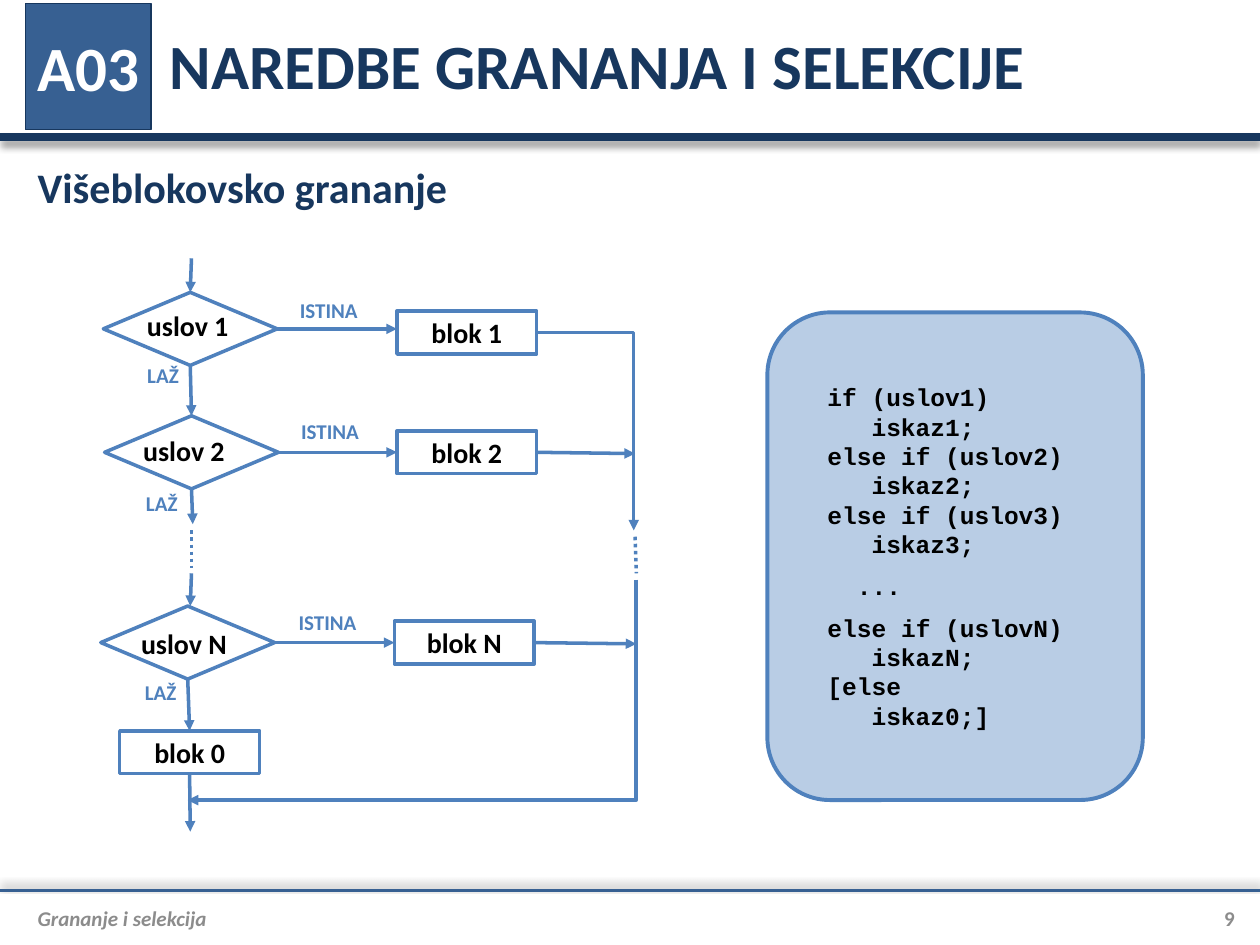
from collections import namedtuple

from lxml import etree
from pptx import Presentation
from pptx.dml.color import RGBColor
from pptx.enum.dml import MSO_LINE
from pptx.enum.shapes import MSO_CONNECTOR, MSO_SHAPE
from pptx.enum.text import MSO_ANCHOR, PP_ALIGN
from pptx.oxml.ns import qn
from pptx.util import Pt

PX = 9144
NAVY = RGBColor(0x17, 0x37, 0x5E)
STEEL = RGBColor(0x37, 0x60, 0x92)
BLUE = RGBColor(0x4F, 0x81, 0xBD)
PALE = RGBColor(0xB9, 0xCD, 0xE5)
GREY = RGBColor(0x8C, 0x8C, 0x8C)
WHITE = RGBColor(0xFF, 0xFF, 0xFF)
BLACK = RGBColor(0x00, 0x00, 0x00)

LEFT, CENTER, RIGHT = PP_ALIGN.LEFT, PP_ALIGN.CENTER, PP_ALIGN.RIGHT
TOP, MIDDLE = MSO_ANCHOR.TOP, MSO_ANCHOR.MIDDLE
STRAIGHT = MSO_CONNECTOR.STRAIGHT
DOTTED = MSO_LINE.ROUND_DOT
RECTANGLE, DIAMOND = MSO_SHAPE.RECTANGLE, MSO_SHAPE.DIAMOND
PANEL = MSO_SHAPE.FLOWCHART_ALTERNATE_PROCESS
SIDE_TOP, SIDE_BOTTOM, SIDE_RIGHT = 0, 2, 3

Box = namedtuple("Box", "left top width height")
Row = namedtuple("Row", "name diamond block yes no label")

ROWS = [
    Row("1", (22, 32), (255, 47), (163, 36), (6, 88), (38, 45)),
    Row("2", (23, 130), (255, 142), (164, 132), (5, 189), (35, 144)),
    Row("N", (20, 281), (253, 293), (162, 284), (4, 339), (35, 297)),
]
CODE = [
    (2, "if (uslov1)"), (5, "iskaz1;"),
    (2, "else if (uslov2)"), (5, "iskaz2;"),
    (2, "else if (uslov3)"), (5, "iskaz3;"),
    (4, "..."),
    (2, "else if (uslovN)"), (5, "iskazN;"),
    (2, "[else"), (5, "iskaz0;]"),
]


def place(box, left, top, width, height):
    """Return a part of the box in EMU."""
    return [value * PX for value in (box.left + left, box.top + top, width, height)]


def set_font(paragraph, size, color, name="Calibri"):
    """Set the bold font that all runs of a paragraph share."""
    font = paragraph.font
    font.name, font.size, font.bold = name, Pt(size), True
    font.color.rgb = color


def write(shape, text, size, color, align=LEFT, anchor=MIDDLE, margins=(0, 0)):
    """Write one paragraph into a shape with (side, vertical) margins."""
    frame = shape.text_frame
    frame.word_wrap = True
    frame.vertical_anchor = anchor
    frame.margin_left = frame.margin_right = margins[0] * PX
    frame.margin_top = frame.margin_bottom = margins[1] * PX
    paragraph = frame.paragraphs[0]
    paragraph.text = text
    paragraph.alignment = align
    set_font(paragraph, size, color)
    return paragraph


def add_text(slide, box, area, text, size, color, **layout):
    """Add a text box at an area of the box."""
    return write(slide.shapes.add_textbox(*place(box, *area)), text, size, color, **layout)


def add_figure(slide, box, kind, area, fill, line, weight):
    """Add a flat preset shape at an area of the box."""
    shape = slide.shapes.add_shape(kind, *place(box, *area))
    shape.shadow.inherit = False
    shape.fill.solid()
    shape.fill.fore_color.rgb = fill
    shape.line.color.rgb = line
    shape.line.width = Pt(weight)
    return shape


def add_arrowhead(shape):
    """Put a triangle at the end of a line."""
    etree.SubElement(shape.line._get_or_add_ln(), qn("a:tailEnd"), type="triangle")


def add_line(slide, box, start, end, color=BLUE, weight=2, arrow=False):
    """Add a straight line between two points of the box."""
    points = place(box, *start, 0, 0)[:2] + place(box, *end, 0, 0)[:2]
    line = slide.shapes.add_connector(STRAIGHT, *points)
    line.line.color.rgb = color
    line.line.width = Pt(weight)
    if arrow:
        add_arrowhead(line)
    etree.SubElement(line._element.spPr, qn("a:effectLst"))
    return line


def add_path(slide, box, points):
    """Add an open bent arrow through points of the box."""
    corners = [(box.left + x, box.top + y) for x, y in points]
    builder = slide.shapes.build_freeform(*corners[0], scale=PX)
    builder.add_line_segments(corners[1:], close=False)
    shape = builder.convert_to_shape()
    shape.shadow.inherit = False
    shape.fill.background()
    shape.line.color.rgb = BLUE
    shape.line.width = Pt(2)
    add_arrowhead(shape)


def add_rule(slide, box, top, color, weight, degrees):
    """Add a full-width rule with a soft shadow."""
    line = add_line(slide, box, (0, top), (box.width, top), color, weight)
    effects = line._element.spPr.find(qn("a:effectLst"))
    shadow = etree.SubElement(
        effects, qn("a:outerShdw"), blurRad=str(Pt(4)), dist=str(Pt(3)),
        dir=str(degrees * 60000), rotWithShape="0")
    shade = etree.SubElement(shadow, qn("a:srgbClr"), val="000000")
    etree.SubElement(shade, qn("a:alpha"), val="40000")


def add_header(slide, box):
    """Place the rule, chapter badge, title and subtitle."""
    add_rule(slide, box, 109, NAVY, 4.5, 90)
    badge = add_figure(slide, box, RECTANGLE, (20, 3, 100, 100), STEEL, NAVY, 0.75)
    write(badge, "A03", 36, WHITE, align=CENTER)
    add_text(slide, box, (125, 1, 855, 100), "NAREDBE GRANANJA I SELEKCIJE",
             36, NAVY, margins=(10, 5))
    add_text(slide, box, (20, 123, 960, 50), "Višeblokovsko grananje",
             24, NAVY, anchor=TOP, margins=(10, 5))


def add_footer(slide, box):
    """Place the rule, topic and slide number."""
    add_rule(slide, box, 7, STEEL, 1.5, 270)
    topic = add_text(slide, box, (20, 11, 910, 35), "Grananje i selekcija",
                     12, GREY, margins=(10, 0))
    topic.font.italic = True
    add_text(slide, box, (930, 11, 50, 35), "9", 12, GREY, align=RIGHT)


def add_block(slide, box, name, corner):
    """Place a statement block."""
    block = add_figure(slide, box, RECTANGLE, (*corner, 111, 34), WHITE, BLUE, 2)
    write(block, f"blok {name}", 16, BLACK, align=CENTER)
    return block


def add_row(slide, box, row):
    """Place a condition with its block, labels and the arrow between them."""
    diamond = add_figure(slide, box, DIAMOND, (*row.diamond, 138, 58), WHITE, BLUE, 2)
    block = add_block(slide, box, row.name, row.block)
    middle = row.diamond[1] + 29
    arrow = add_line(slide, box, (row.diamond[0] + 138, middle),
                     (row.block[0], middle), arrow=True)
    arrow.begin_connect(diamond, SIDE_RIGHT)
    add_text(slide, box, (*row.yes, 76, 24), "ISTINA", 12, BLUE, align=CENTER, anchor=TOP)
    add_text(slide, box, (*row.no, 76, 24), "LAŽ", 12, BLUE, align=RIGHT, anchor=TOP)
    add_text(slide, box, (*row.label, 102, 26), f"uslov {row.name}",
             16, BLACK, align=CENTER, anchor=TOP)
    return diamond, block


def add_flowchart(slide, box):
    """Place the chain of conditions and the common exit path."""
    (first, _), (second, block_2), (last, block_n) = [
        add_row(slide, box, row) for row in ROWS]
    block_0 = add_block(slide, box, "0", (35, 380))

    add_line(slide, box, (92, 5), (91, 32), arrow=True).end_connect(first, SIDE_TOP)
    for upper, lower, start, end in [
            (first, second, (91, 90), (92, 130)), (last, block_0, (89, 339), (90, 380))]:
        link = add_line(slide, box, start, end, arrow=True)
        link.begin_connect(upper, SIDE_BOTTOM)
        link.end_connect(lower, SIDE_TOP)
    for source, side, start, end in [
            (second, SIDE_BOTTOM, (92, 188), (93, 216)),
            (block_0, SIDE_BOTTOM, (91, 414), (91, 460)),
            (block_2, SIDE_RIGHT, (366, 159), (444, 160)),
            (block_n, SIDE_RIGHT, (364, 310), (445, 311))]:
        add_line(slide, box, start, end, arrow=True).begin_connect(source, side)
    add_line(slide, box, (92, 255), (91, 281), arrow=True)
    for start, end in [((92, 221), (92, 251)), ((444, 226), (445, 255))]:
        add_line(slide, box, start, end).line.dash_style = DOTTED
    add_path(slide, box, [(367, 64), (443, 64), (443, 221)])
    add_path(slide, box, [(445, 260), (445, 435), (89, 435)])


def add_code(slide, box):
    """Place the syntax panel with lines indented by whole characters."""
    panel = add_figure(slide, box, PANEL, (0, 0, box.width, box.height), PALE, BLUE, 2.25)
    frame = panel.text_frame
    frame.word_wrap = True
    frame.vertical_anchor = MIDDLE
    for index, (indent, text) in enumerate(CODE):
        paragraph = frame.add_paragraph() if index else frame.paragraphs[0]
        paragraph.text = text
        paragraph.alignment = LEFT
        set_font(paragraph, 14, BLACK, "Courier New")
        paragraph._p.get_or_add_pPr().set("marL", str(Pt(8.4 * indent)))
        if text == "...":
            paragraph.space_before = paragraph.space_after = Pt(7)


def main():
    """Build and save the slide."""
    presentation = Presentation()
    presentation.slide_width, presentation.slide_height = 1000 * PX, 750 * PX
    slide = presentation.slides.add_slide(presentation.slide_layouts[6])
    add_header(slide, Box(0, 0, 1000, 173))
    add_footer(slide, Box(0, 700, 1000, 50))
    add_flowchart(slide, Box(60, 200, 450, 460))
    add_code(slide, Box(609, 248, 298, 387))
    presentation.save("out.pptx")


if __name__ == "__main__":
    main()
